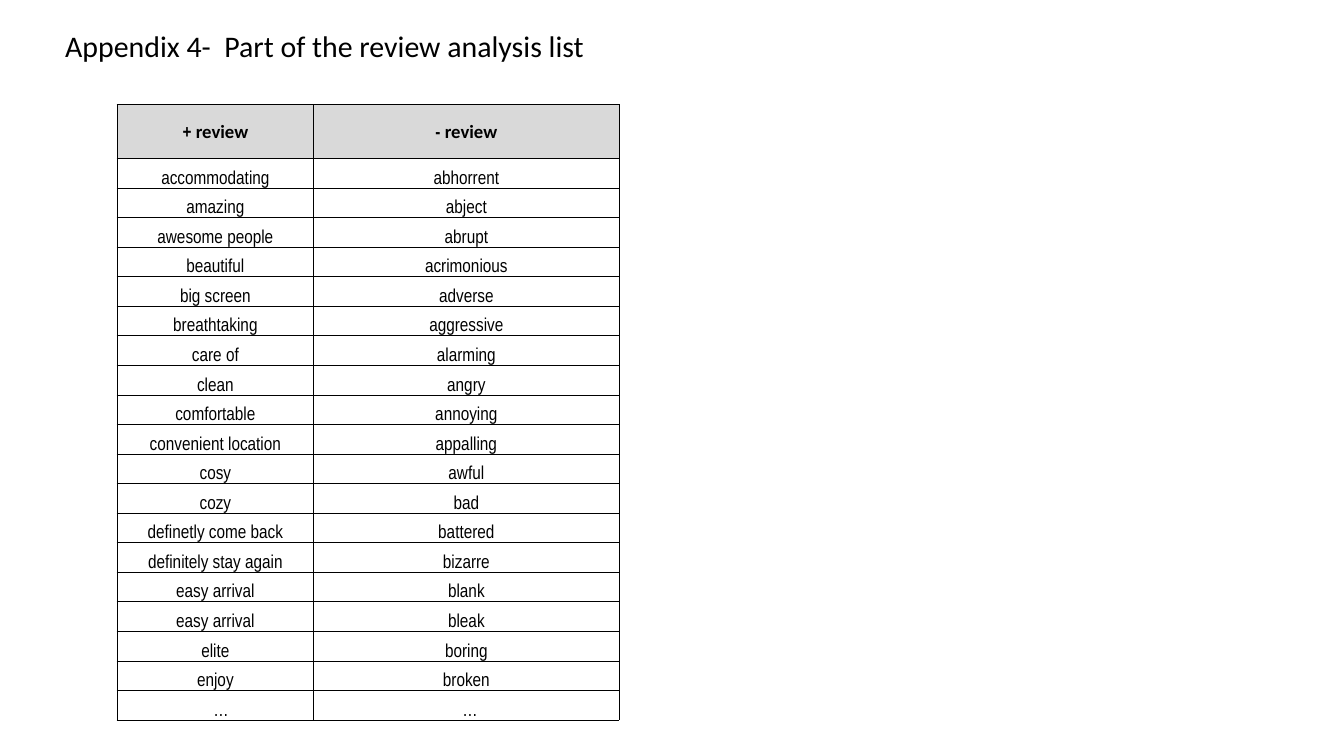
"""Build the appendix slide with the list of positive and negative review words."""
import pptx
import pptx.dml.color
import pptx.enum.text
import pptx.oxml
import pptx.oxml.ns
import pptx.util

Inches = pptx.util.Inches
Pt = pptx.util.Pt
ANCHOR = pptx.enum.text.MSO_ANCHOR
ALIGN = pptx.enum.text.PP_ALIGN

REVIEWS = [
    ("accommodating", "abhorrent"),
    ("amazing", "abject"),
    ("awesome people", "abrupt"),
    ("beautiful", "acrimonious"),
    ("big screen", "adverse"),
    ("breathtaking", "aggressive"),
    ("care of", "alarming"),
    ("clean", "angry"),
    ("comfortable", "annoying"),
    ("convenient location", "appalling"),
    ("cosy", "awful"),
    ("cozy", "bad"),
    ("definetly come back", "battered"),
    ("definitely stay again", "bizarre"),
    ("easy arrival", "blank"),
    ("easy arrival", "bleak"),
    ("elite", "boring"),
    ("enjoy", "broken"),
    ("…", "…"),
]
COLUMN_WIDTHS = [2.93, 4.54]
ELLIPSIS_MARGINS = [0.18, 0.12]
HEADER_HEIGHT = 0.8
ROW_HEIGHT = 0.44


def color(hex_value):
    return pptx.dml.color.RGBColor.from_string(hex_value)


def add_borders(cell, hex_value):
    properties = cell._tc.get_or_add_tcPr()
    for side in ("lnL", "lnR", "lnT", "lnB"):
        properties.append(pptx.oxml.parse_xml(
            f'<a:{side} {pptx.oxml.ns.nsdecls("a")} w="{Pt(1)}"><a:solidFill>'
            f'<a:srgbClr val="{hex_value}"/></a:solidFill></a:{side}>'))


presentation = pptx.Presentation()
presentation.slide_width = Inches(20)
presentation.slide_height = Inches(11.25)
slide = presentation.slides.add_slide(presentation.slide_layouts[5])

title = slide.shapes.title
title.left, title.top = Inches(0.87), Inches(0.36)
title.width, title.height = Inches(8.26), Inches(0.64)
title.text_frame.text = "Appendix 4-  Part of the review analysis list"
title.text_frame.word_wrap = True
title.text_frame.auto_size = pptx.enum.text.MSO_AUTO_SIZE.SHAPE_TO_FIT_TEXT
title.text_frame.vertical_anchor = ANCHOR.TOP
paragraph = title.text_frame.paragraphs[0]
paragraph.alignment = ALIGN.LEFT
paragraph.font.name = "Calibri"
paragraph.font.size = Pt(32)
paragraph.font.color.rgb = color("000000")

table = slide.shapes.add_table(
    len(REVIEWS) + 1, len(COLUMN_WIDTHS), Inches(1.74), Inches(1.56),
    Inches(sum(COLUMN_WIDTHS)),
    Inches(HEADER_HEIGHT + ROW_HEIGHT * len(REVIEWS))).table
table.first_row = False
table.horz_banding = False
for column, width in zip(table.columns, COLUMN_WIDTHS):
    column.width = Inches(width)

for row_index, words in enumerate([("+ ", "- ")] + REVIEWS):
    is_header = row_index == 0
    table.rows[row_index].height = Inches(HEADER_HEIGHT if is_header else ROW_HEIGHT)
    for column_index, word in enumerate(words):
        cell = table.cell(row_index, column_index)
        margin = ELLIPSIS_MARGINS[column_index] if word == "…" else 0.01
        cell.margin_left = Inches(margin)
        cell.margin_right = cell.margin_top = Inches(0.01)
        cell.margin_bottom = 0
        cell.vertical_anchor = ANCHOR.MIDDLE if is_header else ANCHOR.BOTTOM
        add_borders(cell, "000000")
        paragraph = cell.text_frame.paragraphs[0]
        paragraph.alignment = ALIGN.CENTER
        paragraph.font.size = Pt(20)
        paragraph.font.bold = is_header
        paragraph.font.color.rgb = color("000000")
        run = paragraph.add_run()
        run.text = word
        run.font.name = "Arial Narrow"
        if is_header:
            cell.fill.solid()
            cell.fill.fore_color.rgb = color("D9D9D9")
            run = paragraph.add_run()
            run.text = "review"
            run.font.name = "Calibri"
        else:
            cell.fill.background()

presentation.save("out.pptx")
